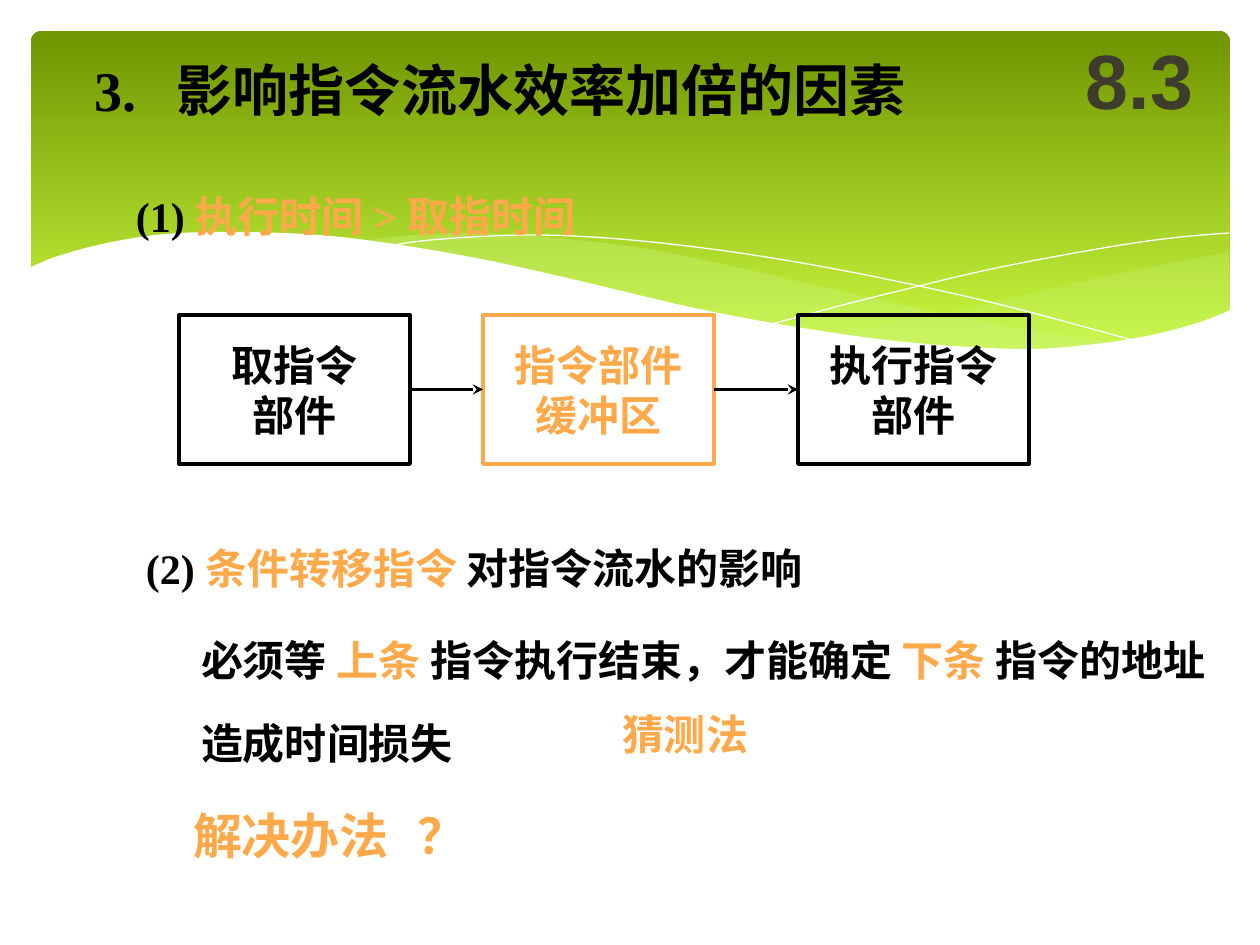
from pptx import Presentation
from pptx.dml.color import RGBColor
from pptx.enum.shapes import MSO_CONNECTOR, MSO_SHAPE
from pptx.enum.text import MSO_ANCHOR, PP_ALIGN
from pptx.oxml.ns import qn
from pptx.util import Emu, Pt
from lxml.etree import SubElement

SCALE = 914400 / 126
INK = {"black": "000000", "orange": "FFA94A", "gray": "3E3D2D", "white": "FFFFFF",
       "dark": "6F9500", "lime": "D0FF44", "pale": "CAF278"}


def px(n):
    return Emu(round(n * SCALE))


def rgb(name):
    return RGBColor.from_string(INK[name])


def curve(knots, steps=6):
    """Run a smooth Catmull-Rom line through the knots."""
    pts = [knots[0], *knots, knots[-1]]
    out = [knots[0]]
    for a, b, c, d in zip(pts, pts[1:], pts[2:], pts[3:]):
        for i in range(1, steps + 1):
            t = i / steps
            out.append(tuple(
                (2 * q + (r - p) * t + (2 * p - 5 * q + 4 * r - s) * t ** 2
                 + (3 * q - p - 3 * r + s) * t ** 3) / 2
                for p, q, r, s in zip(a, b, c, d)))
    return out


class Deck:
    font = "Times New Roman"
    size = 24

    def __init__(self):
        self.prs = Presentation()
        self.prs.slide_width, self.prs.slide_height = px(1260), px(945)
        self.slide = self.prs.slides.add_slide(self.prs.slide_layouts[6])
        self.shapes = self.slide.shapes

    def panel(self, x, y, w, h):
        box = self.shapes.add_shape(MSO_SHAPE.ROUNDED_RECTANGLE, px(x), px(y), px(w), px(h))
        box.adjustments[0] = 0.03
        box.shadow.inherit = False
        box.line.fill.background()
        box.fill.gradient()
        box.fill.gradient_angle = 270
        for stop, ink, at in zip(box.fill.gradient_stops, ("dark", "lime"), (0, 1)):
            stop.color.rgb, stop.position = rgb(ink), at

    def wave(self, pts, ink, alpha=100, fill=True):
        spots = [(px(x), px(y)) for x, y in pts]
        pen = self.shapes.build_freeform(*spots[0], scale=1.0)
        pen.add_line_segments(spots[1:], close=fill)
        form = pen.convert_to_shape()
        form.shadow.inherit = False
        if not fill:
            form.fill.background()
            form.line.color.rgb, form.line.width = rgb(ink), Pt(0)
            return
        form.line.fill.background()
        form.fill.solid()
        form.fill.fore_color.rgb = rgb(ink)
        if alpha < 100:
            tone = form._element.spPr.find(".//" + qn("a:srgbClr"))
            SubElement(tone, qn("a:alpha"), val=str(alpha * 1000))

    def put(self, frame, rows, align=None, space=None, tab=None, size=None, font=None):
        """Each row is a list of (text, ink) runs."""
        for i, row in enumerate(rows):
            para = frame.add_paragraph() if i else frame.paragraphs[0]
            if tab:
                stops = SubElement(para._p.get_or_add_pPr(), qn("a:tabLst"))
                SubElement(stops, qn("a:tab"), pos=str(px(tab)), algn="l")
            para.alignment = align
            para.line_spacing = space
            for words, ink in row:
                run = para.add_run()
                run.text = words
                run.font.name = font or self.font
                run.font.size = Pt(size or self.size)
                run.font.bold = True
                run.font.color.rgb = rgb(ink)

    def frame(self, shape, anchor, inset=0):
        frame = shape.text_frame
        frame.word_wrap = True
        frame.vertical_anchor = anchor
        frame.margin_left = frame.margin_right = px(inset)
        frame.margin_top = frame.margin_bottom = px(6)
        return frame

    def text(self, x, y, w, h, rows, anchor=MSO_ANCHOR.MIDDLE, inset=0, **style):
        box = self.shapes.add_textbox(px(x), px(y), px(w), px(h))
        self.put(self.frame(box, anchor, inset), rows, **style)

    def block(self, x, y, w, h, lines, ink):
        box = self.shapes.add_shape(MSO_SHAPE.RECTANGLE, px(x), px(y), px(w), px(h))
        box.shadow.inherit = False
        box.fill.background()
        box.line.color.rgb, box.line.width = rgb(ink), Pt(2.25)
        self.put(self.frame(box, MSO_ANCHOR.MIDDLE), [[(s, ink)] for s in lines],
                 align=PP_ALIGN.CENTER)
        return box

    def arrow(self, start, end):
        link = self.shapes.add_connector(MSO_CONNECTOR.STRAIGHT, 0, 0, 0, 0)
        link.begin_connect(start, 3)
        link.end_connect(end, 1)
        link.line.color.rgb, link.line.width = rgb("black"), Pt(1.5)
        props = link._element.spPr
        SubElement(props.find(qn("a:ln")), qn("a:tailEnd"), type="stealth")
        SubElement(props, qn("a:effectLst"))


def main():
    deck = Deck()

    # Green banner with its waves
    deck.panel(31, 31, 1199, 340)
    deck.wave(curve([(1229, 252), (1160, 265), (1085, 281), (982, 305), (889, 324), (833, 334)])
              + curve([(833, 334), (905, 343), (985, 349), (1064, 349), (1132, 343),
                       (1193, 330), (1230, 311)]), "pale", 29)
    deck.wave(curve([(360, 241), (414, 235), (479, 233), (556, 238), (648, 249), (736, 267),
                     (793, 280), (890, 302), (977, 320), (1054, 334), (1125, 344)])
              + curve([(1125, 344), (1065, 350), (1007, 351), (943, 348), (856, 338), (757, 322),
                       (668, 302), (566, 280), (482, 261), (407, 247), (360, 241)]), "pale", 40)
    deck.wave(curve([(389, 246), (413, 242), (456, 238), (524, 235), (591, 237), (670, 244),
                     (766, 257), (876, 277), (1002, 305), (1143, 343)]), "white", fill=False)
    deck.wave(curve([(772, 324), (847, 304), (907, 289), (978, 272), (1053, 257),
                     (1128, 244), (1181, 237), (1229, 233)]), "white", fill=False)
    deck.wave(curve([(29, 268), (58, 256), (107, 243), (166, 234), (243, 232), (341, 237),
                     (460, 255), (563, 277), (699, 309), (815, 330), (915, 343), (1019, 349),
                     (1087, 345), (1147, 336), (1197, 323), (1231, 310)])
              + [(1231, 415), (29, 415)], "white")

    # Effect of conditional jumps
    deck.text(188, 596, 1040, 179,
              [[("必须等 ", "black"), ("上条 ", "orange"), ("指令执行结束，才能确定 ", "black"),
                ("下条 ", "orange"), ("指令的地址", "black")],
               [("造成时间损失", "black")]],
              anchor=MSO_ANCHOR.TOP, inset=13, space=1.65)

    # Headings
    deck.text(95, 53, 872, 73, [[("3.\t影响指令流水效率加倍的因素", "black")]], size=32, tab=82)
    deck.text(136, 179, 645, 73, [[("(1) ", "black"), ("执行时间 > 取指时间", "orange")]])
    deck.text(146, 537, 872, 62, [[("(2) ", "black"), ("条件转移指令 ", "orange"),
                                   ("对指令流水的影响", "black")]])
    deck.text(193, 798, 835, 73, [[("解决办法\t？", "orange")]], size=28, tab=224)

    # Pipeline units
    units = [(179, ["取指令", "部件"], "black"),
             (483, ["指令部件", "缓冲区"], "orange"),
             (798, ["执行指令", "部件"], "black")]
    boxes = [deck.block(x, 315, 231, 149, lines, ink) for x, lines, ink in units]
    for start, end in zip(boxes, boxes[1:]):
        deck.arrow(start, end)

    # Answer and section number
    deck.text(609, 703, 546, 63, [[("猜测法", "orange")]], anchor=MSO_ANCHOR.TOP, inset=13)
    deck.text(1061, 21, 157, 116, [[("8.3", "gray")]], inset=13,
              align=PP_ALIGN.CENTER, size=44, font="Arial")

    deck.prs.save("out.pptx")


if __name__ == "__main__":
    main()
